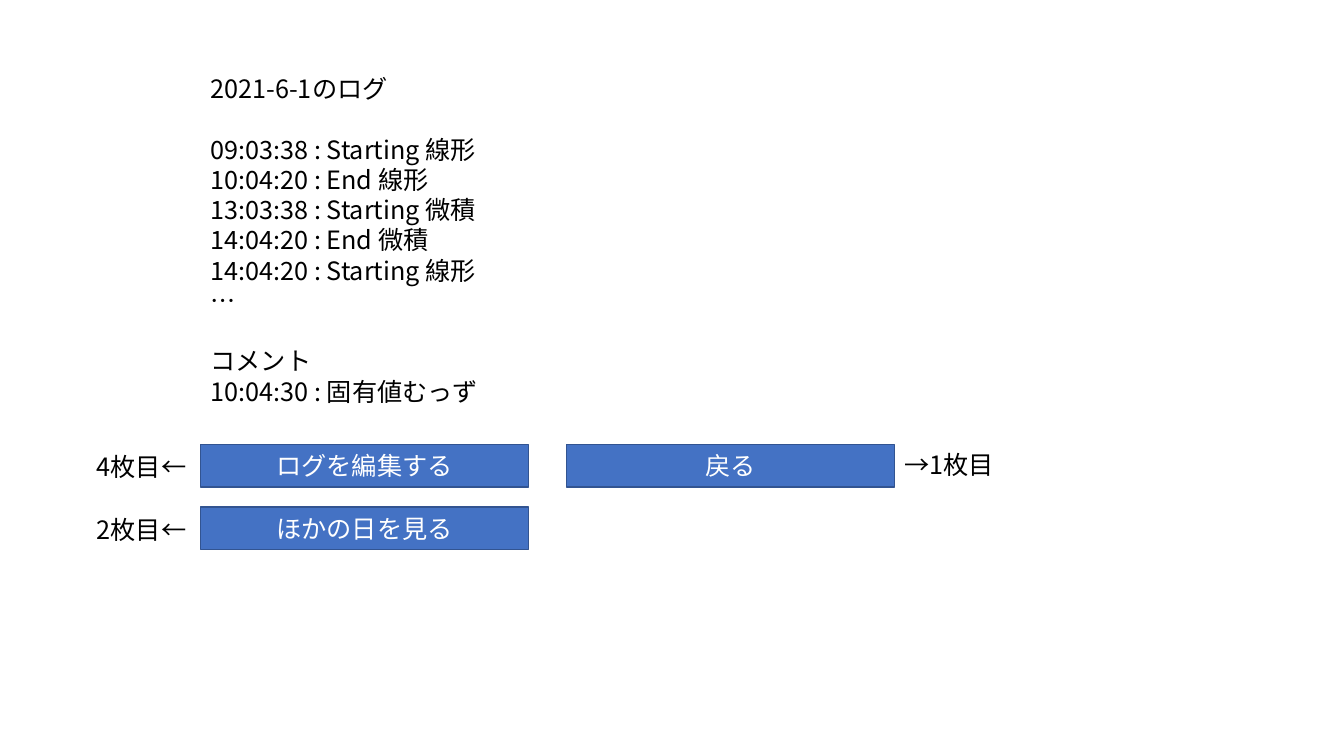
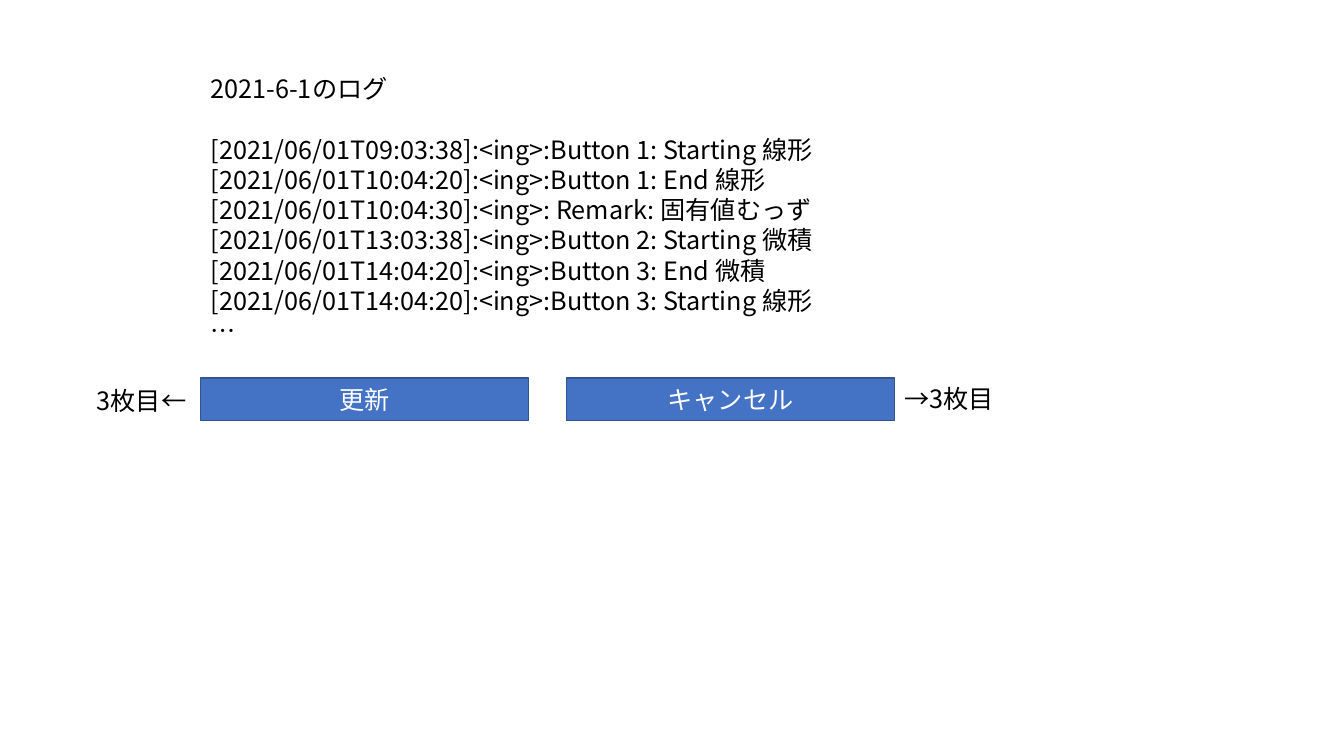
from lxml import etree
from pptx import Presentation
from pptx import util as u
from pptx.dml.color import RGBColor
from pptx.enum import shapes, text
from pptx.oxml.ns import qn

FONT = "Noto Sans CJK JP"
SIZE = 18
LINE = 21.6
BLACK, WHITE, BLUE, EDGE = "000000", "FFFFFF", "4472C4", "325491"
TITLE = "2021-6-1のログ"

SLIDES = [
    {
        "groups": [
            [TITLE],
            ["09:03:38 : Starting 線形", "10:04:20 : End 線形",
             "13:03:38 : Starting 微積", "14:04:20 : End 微積",
             "14:04:20 : Starting 線形", "…"],
            ["コメント", "10:04:30 : 固有値むっず"],
        ],
        "tall": 525,
        "top": 441,
        "rows": [
            [("ログを編集する", "4枚目←"), ("戻る", "→1枚目")],
            [("ほかの日を見る", "2枚目←")],
        ],
    },
    {
        "groups": [
            [TITLE],
            ["[2021/06/01T09:03:38]:<ing>:Button 1: Starting 線形",
             "[2021/06/01T10:04:20]:<ing>:Button 1: End 線形",
             "[2021/06/01T10:04:30]:<ing>: Remark: 固有値むっず",
             "[2021/06/01T13:03:38]:<ing>:Button 2: Starting 微積",
             "[2021/06/01T14:04:20]:<ing>:Button 3: End 微積",
             "[2021/06/01T14:04:20]:<ing>:Button 3: Starting 線形", "…"],
        ],
        "tall": 434,
        "top": 375,
        "rows": [[("更新", "3枚目←"), ("キャンセル", "→3枚目")]],
    },
]

LEFT, TOP, WIDE = 199, 68, 828
BTN_W, BTN_H, STEP_X, STEP_Y = 325, 42, 363, 62
NOTE_W, NOTE_H = 189, 40
NOTES = [(86, 2), (LEFT + STEP_X + BTN_W, 0)]


def px(n):
    return u.Emu(n * 9144)


def rgb(code):
    return RGBColor.from_string(code)


def write(frame, groups, color, align=text.PP_ALIGN.LEFT):
    frame.word_wrap = True
    fresh = True
    for g, group in enumerate(groups):
        for i, line in enumerate(group):
            para = frame.paragraphs[0] if fresh else frame.add_paragraph()
            fresh = False
            para.alignment = align
            para.line_spacing = u.Pt(LINE)
            para.space_before = u.Pt(LINE if g and not i else 0)
            run = para.add_run()
            run.text = line
            font = run.font
            font.name, font.size = FONT, u.Pt(SIZE)
            font.color.rgb = rgb(color)
            props = run._r.get_or_add_rPr()
            etree.SubElement(props, qn("a:ea"), typeface=FONT)


def label(slide, box, groups):
    shape = slide.shapes.add_textbox(*map(px, box))
    write(shape.text_frame, groups, BLACK)


def button(slide, box, name):
    shape = slide.shapes.add_shape(shapes.MSO_SHAPE.RECTANGLE, *map(px, box))
    shape.shadow.inherit = False
    shape.fill.solid()
    shape.fill.fore_color.rgb = rgb(BLUE)
    shape.line.color.rgb = rgb(EDGE)
    shape.line.width = u.Pt(1)
    shape.text_frame.vertical_anchor = text.MSO_ANCHOR.MIDDLE
    write(shape.text_frame, [[name]], WHITE, text.PP_ALIGN.CENTER)


def main():
    deck = Presentation()
    deck.slide_width, deck.slide_height = u.Inches(13.33), u.Inches(7.5)
    for page in SLIDES:
        slide = deck.slides.add_slide(deck.slide_layouts[6])
        label(slide, (LEFT, TOP, WIDE, page["tall"]), page["groups"])
        for r, row in enumerate(page["rows"]):
            y = page["top"] + r * STEP_Y
            for c, (name, note) in enumerate(row):
                button(slide, (LEFT + c * STEP_X, y, BTN_W, BTN_H), name)
                x, drop = NOTES[c]
                label(slide, (x, y + drop, NOTE_W, NOTE_H), [[note]])
    deck.save("out.pptx")


if __name__ == "__main__":
    main()
